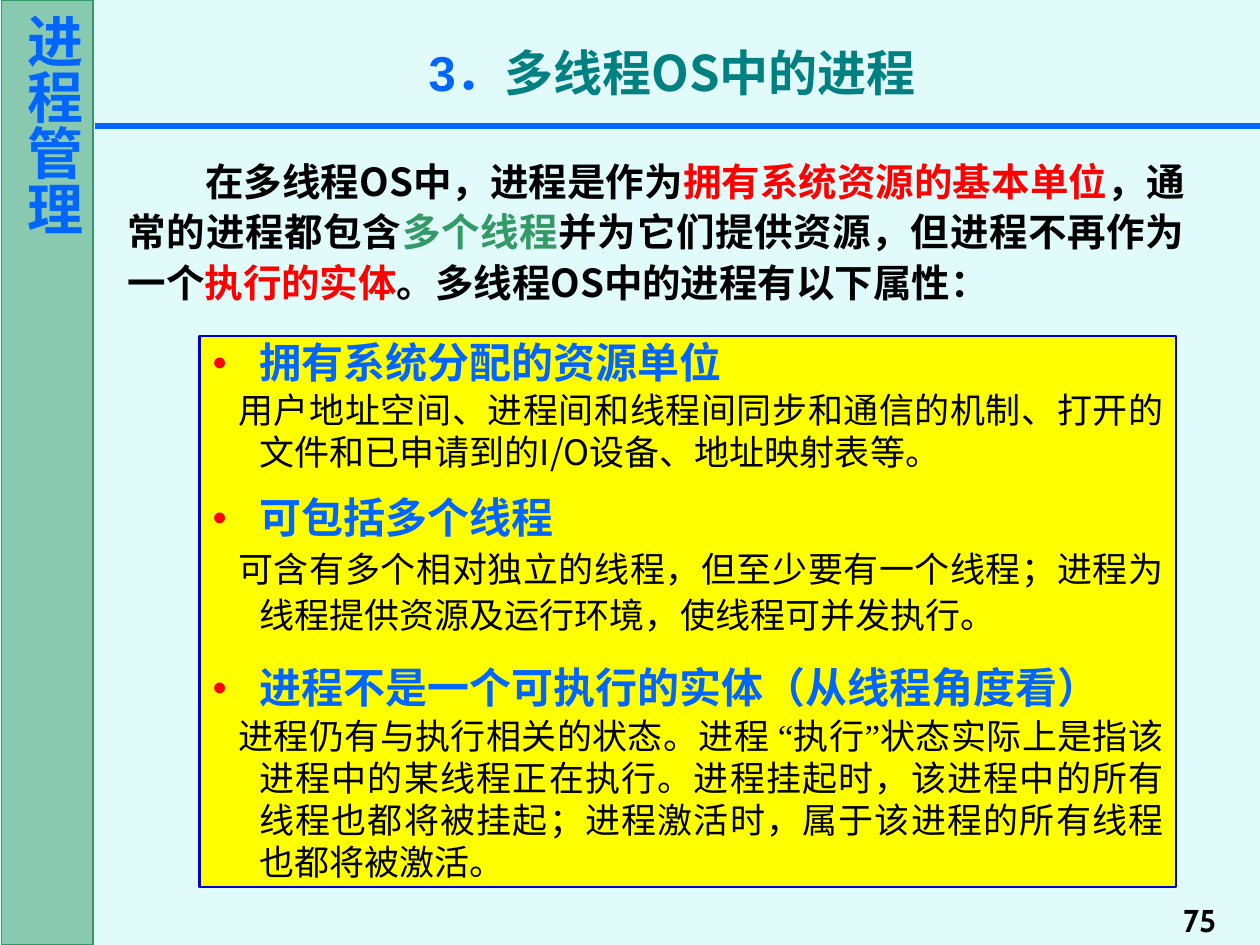
from lxml.etree import SubElement
from pptx import Presentation
from pptx.dml.color import RGBColor
from pptx.enum.shapes import MSO_CONNECTOR, MSO_SHAPE
from pptx.enum.text import MSO_ANCHOR, MSO_AUTO_SIZE, PP_ALIGN as ALIGN
from pptx.oxml.ns import qn
from pptx.util import Pt

PX = 9525  # 96 px to the inch
CJK, LATIN, QUOTES = "Noto Sans CJK SC", "Cabin", "Times New Roman"
BLACK, RED, BLUE, GREEN = "000000", "FF0000", "0066FF", "339966"


def color(value):
    return RGBColor.from_string(value)


def add_spans(para, size, bold, spans):
    """Append (text, colour, font) runs; the font also serves East Asian text."""
    for text, value, name in spans:
        span = para.add_run()
        span.text = text
        font = span.font
        font.size, font.bold, font.name = Pt(size), bold, name
        font.color.rgb = color(value)
        SubElement(font._element, qn("a:ea")).set("typeface", name)


deck = Presentation()
deck.slide_width, deck.slide_height = 960 * PX, 720 * PX
page = deck.slides.add_slide(deck.slide_layouts[1])
page.background.fill.solid()
page.background.fill.fore_color.rgb = color("E1FAFA")

# Side band with vertical chapter name
band = page.shapes.add_shape(MSO_SHAPE.RECTANGLE, 1 * PX, 0, 70 * PX, 720 * PX)
band.shadow.inherit = False
band.fill.solid()
band.fill.fore_color.rgb = color(GREEN)
band_color = band.fill._xPr.find(qn("a:solidFill"))[0]
SubElement(band_color, qn("a:alpha")).set("val", "50000")
band.line.color.rgb = color(GREEN)
band.line.width = Pt(0.75)
frame = band.text_frame
frame._txBody.bodyPr.set("vert", "eaVert")
frame.vertical_anchor = MSO_ANCHOR.TOP
frame.margin_left = frame.margin_right = 5 * PX
frame.margin_top = frame.margin_bottom = 10 * PX
frame.paragraphs[0].alignment = ALIGN.CENTER
add_spans(frame.paragraphs[0], 32, True, [("进程管理", BLUE, LATIN)])

# Title and rule
title = page.shapes.title
title.left, title.top, title.width, title.height = 104 * PX, 27 * PX, 816 * PX, 55 * PX
title.text_frame.auto_size = MSO_AUTO_SIZE.NONE
title.text_frame.vertical_anchor = MSO_ANCHOR.MIDDLE
para = title.text_frame.paragraphs[0]
para.alignment = ALIGN.CENTER
add_spans(para, 28, True, [("3．", BLUE, "Arial"), ("多线程OS中的进程", "008080", CJK)])

rule = page.shapes.add_connector(MSO_CONNECTOR.STRAIGHT, 72 * PX, 96 * PX, 960 * PX, 96 * PX)
rule.line.color.rgb = color(BLUE)
rule.line.width = Pt(3)
SubElement(rule._element.spPr, qn("a:effectLst"))

# Introduction
intro = page.shapes.add_textbox(88 * PX, 112 * PX, 824 * PX, 126 * PX)
intro.text_frame.word_wrap = True
para = intro.text_frame.paragraphs[0]
para.alignment = ALIGN.JUSTIFY
para.line_spacing = Pt(29)
para._p.get_or_add_pPr().set("indent", str(59 * PX))
add_spans(para, 22, True, [
    ("在多线程OS中，进程是作为", BLACK, CJK),
    ("拥有系统资源的基本单位", RED, CJK),
    ("，通常的进程都包含", BLACK, CJK),
    ("多个线程", GREEN, CJK),
    ("并为它们提供资源，但进程不再作为一个", BLACK, CJK),
    ("执行的实体", RED, CJK),
    ("。多线程OS中的进程有以下属性：", BLACK, CJK),
])

# Attribute list: heading, its space before, detail spans, detail line height
attributes = [
    ("拥有系统分配的资源单位", 0, 24, [
        ("用户地址空间、进程间和线程间同步和通信的机制、打开的文件和"
         "已申请到的I/O设备、地址映射表等。", CJK)]),
    ("可包括多个线程", 10.5, 26, [
        ("可含有多个相对独立的线程，但至少要有一个线程；进程为线程提供"
         "资源及运行环境，使线程可并发执行。", CJK)]),
    ("进程不是一个可执行的实体（从线程角度看）", 15, 24, [
        ("进程仍有与执行相关的状态。进程 ", CJK),
        ("“", QUOTES), ("执行", CJK), ("”", QUOTES),
        ("状态实际上是指该进程中的某线程正在执行。进程挂起时，该进程中的"
         "所有线程也都将被挂起；进程激活时，属于该进程的所有线程也都将被激活。", CJK)]),
]
body = page.placeholders[1]
body.left, body.top, body.width, body.height = 152 * PX, 256 * PX, 744 * PX, 420 * PX
body.fill.solid()
body.fill.fore_color.rgb = color("FFFF00")
body.line.color.rgb = color("0000CC")
body.line.width = Pt(1.25)
frame = body.text_frame
frame.auto_size = MSO_AUTO_SIZE.NONE
frame.margin_top = frame.margin_bottom = 0

for number, (heading, gap, line_height, details) in enumerate(attributes):
    para = frame.add_paragraph() if number else frame.paragraphs[0]
    props = para._p.get_or_add_pPr()
    props.set("marL", str(36 * PX))
    props.set("indent", str(-36 * PX))
    SubElement(SubElement(props, qn("a:buClr")), qn("a:srgbClr")).set("val", RED)
    SubElement(props, qn("a:buSzPct")).set("val", "60000")
    SubElement(props, qn("a:buChar")).set("char", "●")
    para.alignment = ALIGN.JUSTIFY
    para.space_before, para.line_spacing = Pt(gap), Pt(29)
    add_spans(para, 24, True, [(heading, BLUE, CJK)])

    para = frame.add_paragraph()
    props = para._p.get_or_add_pPr()
    props.set("marL", str(36 * PX))
    props.set("indent", str(-16 * PX))
    SubElement(props, qn("a:buNone"))
    para.alignment = ALIGN.JUSTIFY
    para.space_before, para.line_spacing = Pt(1.2), Pt(line_height)
    add_spans(para, 20, False, [(text, BLACK, name) for text, name in details])

# Page number
number_box = page.shapes.add_textbox(840 * PX, 672 * PX, 96 * PX, 48 * PX)
number_box.text_frame.word_wrap = True
number_box.text_frame.vertical_anchor = MSO_ANCHOR.BOTTOM
para = number_box.text_frame.paragraphs[0]
para.alignment = ALIGN.RIGHT
add_spans(para, 18, True, [("75", BLACK, LATIN)])

deck.save("out.pptx")
